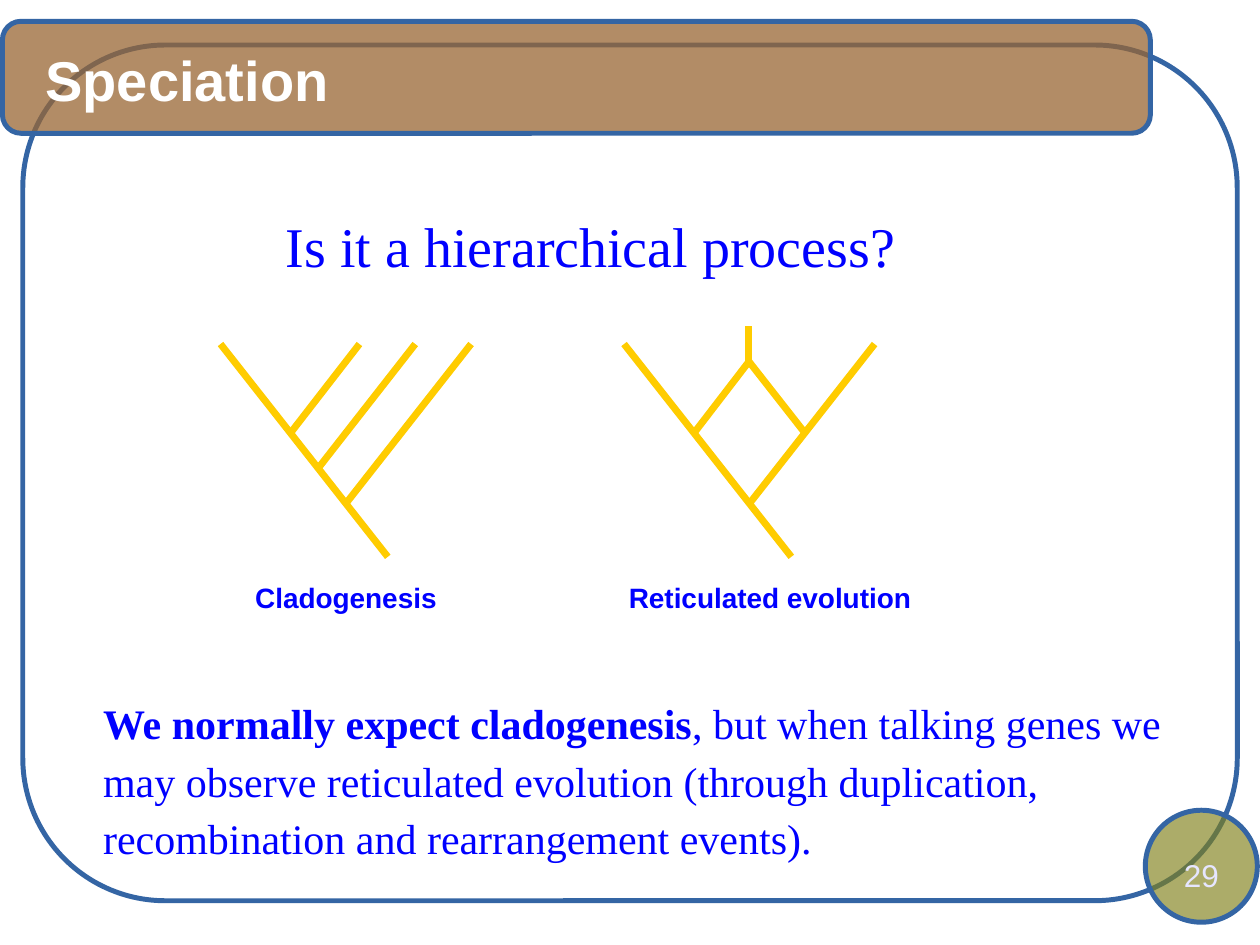
from lxml.etree import SubElement
from pptx import Presentation
from pptx.dml.color import RGBColor
from pptx.enum.shapes import MSO_CONNECTOR, MSO_SHAPE
from pptx.enum.text import MSO_ANCHOR, PP_ALIGN
from pptx.oxml.ns import qn
from pptx.util import Pt

WHITE = RGBColor(0xFF, 0xFF, 0xFF)
BROWN = RGBColor(0x99, 0x66, 0x33)
OLIVE = RGBColor(0x80, 0x80, 0x19)
OUTLINE = RGBColor(0x34, 0x65, 0xA4)
BLUE = RGBColor(0x00, 0x00, 0xFF)
YELLOW = RGBColor(0xFF, 0xCC, 0x00)
LAVENDER = RGBColor(0xE6, 0xE6, 0xFF)
SANS = "Arial"
SERIF = "Times New Roman"


class SlideBuilder:
    def __init__(self, slide):
        self.shapes = slide.shapes

    def panel(self, kind, x, y, w, h, color, opacity):
        """Outlined shape with a translucent fill; opacity in percent."""
        sp = self.shapes.add_shape(kind, Pt(x), Pt(y), Pt(w), Pt(h))
        sp.shadow.inherit = False
        sp.fill.solid()
        sp.fill.fore_color.rgb = color
        clr = sp.fill._xPr.find(qn("a:solidFill"))[0]
        SubElement(clr, qn("a:alpha"), val=str(opacity * 1000))
        sp.line.color.rgb = OUTLINE
        sp.line.width = Pt(2.83)

    def branch(self, start, end):
        ln = self.shapes.add_connector(
            MSO_CONNECTOR.STRAIGHT, *(Pt(v) for v in (*start, *end)))
        ln.line.color.rgb = YELLOW
        ln.line.width = Pt(4)
        SubElement(ln._element.spPr, qn("a:effectLst"))

    def text(self, x, y, w, h, runs, size, font, color, align=PP_ALIGN.LEFT,
             anchor=MSO_ANCHOR.TOP, inset=(0, 0), spacing=None):
        """Text box with one paragraph; runs are (text, bold) pairs."""
        tf = self.shapes.add_textbox(Pt(x), Pt(y), Pt(w), Pt(h)).text_frame
        tf.word_wrap = True
        tf.vertical_anchor = anchor
        tf.margin_left = tf.margin_right = Pt(inset[0])
        tf.margin_top = tf.margin_bottom = Pt(inset[1])
        p = tf.paragraphs[0]
        p.alignment = align
        if spacing:
            p.line_spacing = spacing
        for content, bold in runs:
            r = p.add_run()
            r.text = content
            r.font.name = font
            r.font.size = Pt(size)
            r.font.bold = bold
            r.font.color.rgb = color


def main():
    prs = Presentation()
    prs.slide_width, prs.slide_height = Pt(720), Pt(540)
    s = SlideBuilder(prs.slides.add_slide(prs.slide_layouts[6]))

    # Frame, title bar and page number disc
    s.panel(MSO_SHAPE.ROUNDED_RECTANGLE, 13, 25.7, 694, 489, WHITE, 90)
    s.panel(MSO_SHAPE.ROUNDED_RECTANGLE, 1.4, 12.2, 656, 64, BROWN, 75)
    s.panel(MSO_SHAPE.OVAL, 654.5, 463, 64, 64, OLIVE, 65)

    # Title and question
    s.text(26, 13, 604, 64, [("Speciation", True)], 32, SANS, WHITE,
           anchor=MSO_ANCHOR.MIDDLE)
    s.text(31.7, 117.3, 612, 54, [("Is it a hierarchical process?", False)],
           32, SERIF, BLUE, PP_ALIGN.CENTER, inset=(7.2, 3.6))

    # Both trees share the trunk and its three evenly spaced forks
    top, bottom = 196.6, 318.2
    left, reticulate_left = 126, 356.6

    def fork(x, i):
        return x + 39.8 + 15.8 * i, 247.7 + 20.2 * i

    for x in (left, reticulate_left):
        s.branch((x, top), (x + 95.6, bottom))

    # Cladogenesis: every branch stays separate
    for i in range(3):
        s.branch(fork(left, i), (left + 79.4 + 31.9 * i, top))

    # Reticulated evolution: two branches merge again
    root = fork(reticulate_left, 2)
    merge = (root[0], 206.6)
    s.branch(fork(reticulate_left, 0), merge)
    s.branch(merge, (root[0] + 31.8, 247.2))
    s.branch(root, (reticulate_left + 143.2, top))
    s.branch((merge[0], 186.5), merge)

    # Tree labels
    for x, w, label in ((110.2, 175, "Cladogenesis"),
                        (309, 262, "Reticulated evolution")):
        s.text(x, 328.3, w, 25.2, [(label, True)], 16, SANS, BLUE,
               PP_ALIGN.CENTER, inset=(7.2, 3.6))

    # Conclusion
    s.text(49.5, 389, 630, 97,
           [("We normally expect cladogenesis", True),
            (", but when talking genes we may observe reticulated evolution "
             "(through duplication, recombination and rearrangement events).",
             False)],
           24, SERIF, BLUE, inset=(9.4, 5.8), spacing=1.14)

    # Page number
    s.text(666, 489, 41, 24.5, [("29", False)], 18, SANS, LAVENDER,
           PP_ALIGN.CENTER)

    prs.save("out.pptx")


if __name__ == "__main__":
    main()
